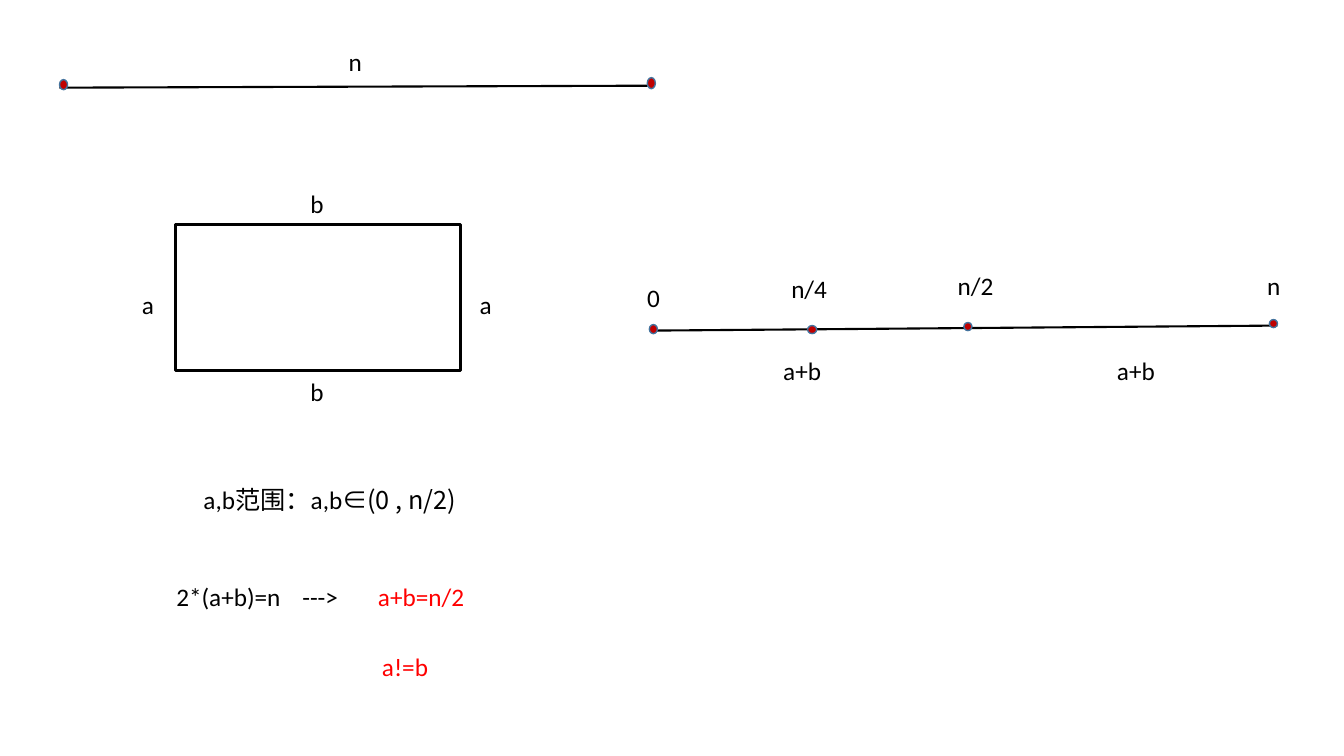
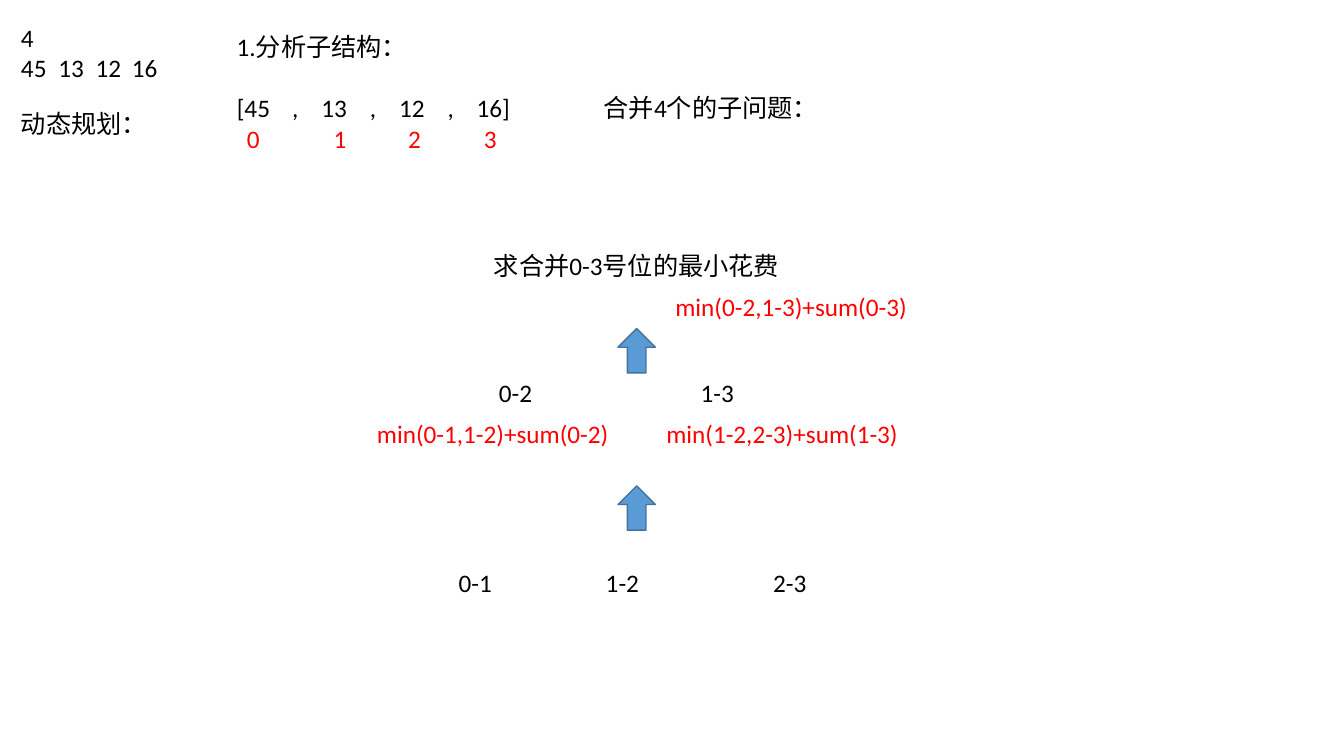
from pptx import Presentation
from pptx.dml.color import RGBColor
from pptx.enum.shapes import MSO_CONNECTOR, MSO_SHAPE
from pptx.oxml.ns import qn
from pptx.util import Inches, Pt
from lxml.etree import Element, SubElement

BLACK, RED, DOT, BLUE, EDGE = "000000", "FF0000", "C00000", "5B9BD5", "43739E"
FONT, HAN = "Calibri", "Noto Sans CJK SC"
HIGH = 0.4
GAP = 0.77

LABELS = [
    ("n", 3.36, 0.41, 0.34), ("a", 1.31, 2.82, 0.42),
    ("b", 2.98, 1.82, 0.34), ("a", 4.66, 2.82, 0.34),
    ("b", 2.98, 3.68, 0.34), ("n", 12.47, 2.63, 0.34),
    ("a+b", 7.67, 3.48, 0.6), ("a+b", 10.98, 3.48, 0.6),
    ("n/2", 9.4, 2.63, 1.19), ("0", 6.32, 2.75, 0.34),
    ("n/4", 7.75, 2.66, 0.6), ("a!=b", 3.69, 6.41, 0.68, RED),
]
LINES = [(0.59, 0.87, 6.47, 0.85), (6.45, 3.28, 12.67, 3.23)]
DOTS = [
    (0.59, 0.79, 0.08, 0.1), (6.42, 0.77, 0.08, 0.11),
    (6.44, 3.22, 0.08, 0.09), (8.01, 3.23, 0.09, 0.08),
    (9.56, 3.2, 0.08, 0.08), (12.59, 3.17, 0.08, 0.08),
]
RECT = (1.74, 2.23, 2.83, 1.45)
RANGE = [("a,b范围：a,b", BLACK, FONT), ("∈(0 , n/2)", BLACK, HAN)]
SUM = [("2*(a+b)=n\t--->\t", BLACK, FONT), ("a+b=n/2", RED, FONT)]

SLOTS = [x + GAP * i for i in range(3) for x in (0.55, 0.84)]
STEPS = [
    ("4\n45\t13\t12\t16", 0.11, 0.17, 1.95, BLACK, [0.37, 0.74, 1.1]),
    ("动态规划：", 0.11, 1.03, 1.45),
    ("1.分析子结构：", 2.25, 0.26, 6.17),
    ("[45\t,\t13\t,\t12\t,\t16]", 2.25, 0.87, 6.55, BLACK, SLOTS),
    ("0\t1\t2\t3", 2.35, 1.17, 3.04, RED, [0.86, 1.6, 2.35]),
    ("合并4个的子问题：", 5.89, 0.87, 2.34),
    ("求合并0-3号位的最小花费", 4.8, 2.43, 3.03),
    ("min(0-2,1-3)+sum(0-3)", 6.6, 2.84, 2.52, RED),
    ("0-2\t1-3", 4.85, 3.69, 2.53, BLACK, [2]),
    ("min(0-1,1-2)+sum(0-2)", 3.64, 4.1, 2.52, RED),
    ("min(1-2,2-3)+sum(1-3)", 6.51, 4.1, 2.52, RED),
    ("0-1\t1-2\t2-3", 4.45, 5.58, 3.84, BLACK, [1.46, 3.12]),
]
ARROWS = [(6.13, y, 0.37, 0.44) for y in (3.26, 4.82)]


def color(code):
    return RGBColor.from_string(code)


def style(font, tint, face=FONT):
    font.size, font.name = Pt(18), face
    font.color.rgb = color(tint)


def set_tabs(para, stops):
    tabs = Element(qn("a:tabLst"))
    for stop in stops:
        SubElement(tabs, qn("a:tab"), pos=str(Inches(stop)), algn="l")
    para._p.get_or_add_pPr().insert(0, tabs)


def frame(slide, x, y, wide, high=HIGH):
    box = slide.shapes.add_textbox(*map(Inches, (x, y, wide, high)))
    box.text_frame.word_wrap = True
    return box.text_frame


def label(slide, text, x, y, wide, tint=BLACK, stops=()):
    rows = text.split("\n")
    body = frame(slide, x, y, wide, 0.1 + 0.3 * len(rows))
    body.text = text
    for para in body.paragraphs:
        style(para.font, tint)
        if stops:
            set_tabs(para, stops)


def mixed(slide, parts, x, y, wide, stops=()):
    para = frame(slide, x, y, wide).paragraphs[0]
    for text, tint, face in parts:
        run = para.add_run()
        run.text = text
        style(run.font, tint, face)
    if stops:
        set_tabs(para, stops)


def shape(slide, kind, spot, fill, edge, weight):
    item = slide.shapes.add_shape(kind, *map(Inches, spot))
    item.shadow.inherit = False
    if fill:
        item.fill.solid()
        item.fill.fore_color.rgb = color(fill)
    else:
        item.fill.background()
    item.line.color.rgb = color(edge)
    item.line.width = Pt(weight)


def line(slide, ends):
    item = slide.shapes.add_connector(MSO_CONNECTOR.STRAIGHT, *map(Inches, ends))
    item.line.color.rgb = color(BLACK)
    item.line.width = Pt(1.5)
    SubElement(item._element.spPr, qn("a:effectLst"))


deck = Presentation()
deck.slide_width, deck.slide_height = Inches(13.33), Inches(7.5)
first, second = [deck.slides.add_slide(deck.slide_layouts[6]) for _ in range(2)]

for ends in LINES:
    line(first, ends)
shape(first, MSO_SHAPE.RECTANGLE, RECT, None, BLACK, 2.25)
for spot in DOTS:
    shape(first, MSO_SHAPE.OVAL, spot, DOT, EDGE, 1)
for item in LABELS:
    label(first, *item)
mixed(first, RANGE, 1.92, 4.76, 2.76)
mixed(first, SUM, 1.65, 5.72, 3.61, [1.25, 2])

for item in STEPS:
    label(second, *item)
for spot in ARROWS:
    shape(second, MSO_SHAPE.UP_ARROW, spot, BLUE, EDGE, 1)

deck.save("out.pptx")
